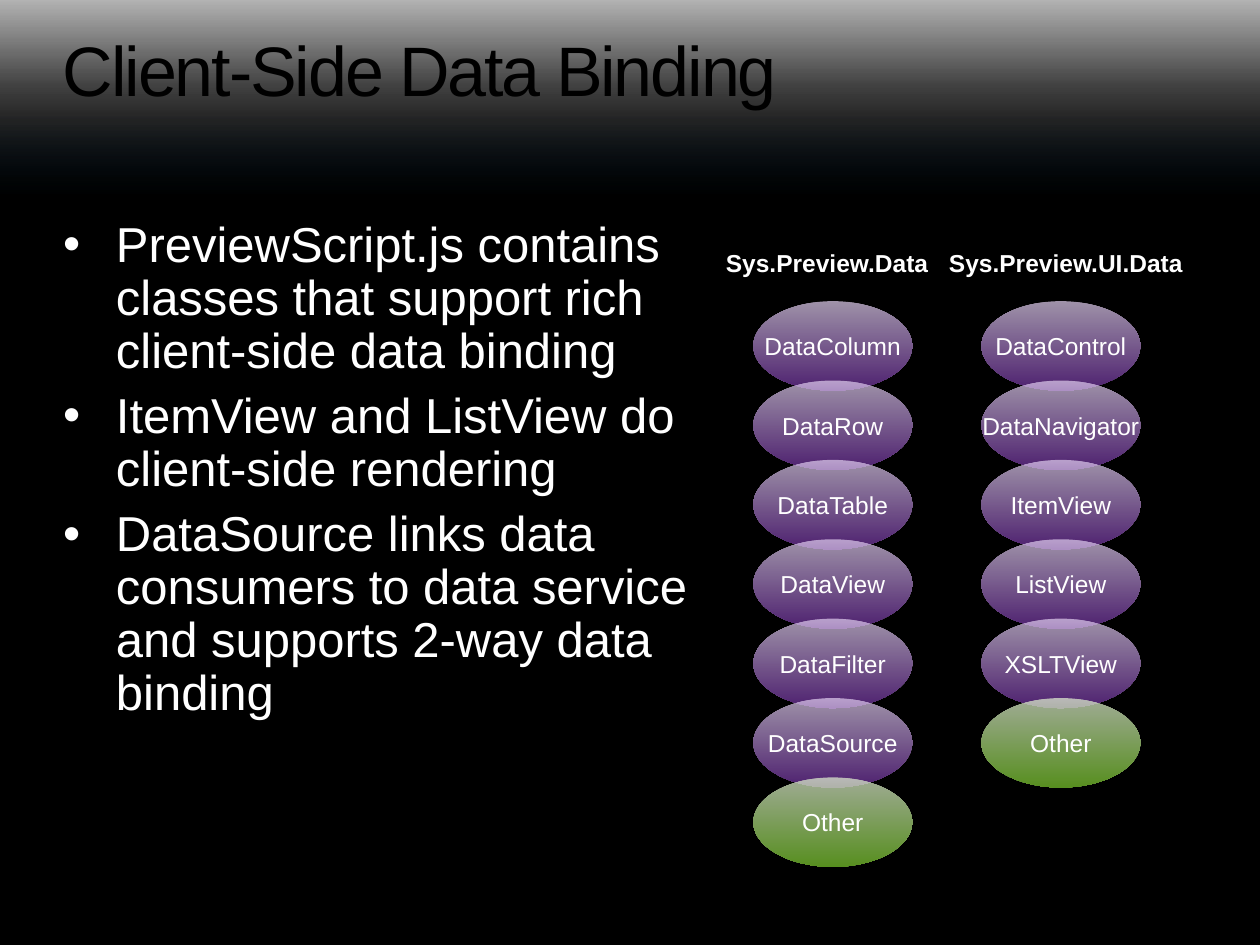
from lxml import etree
from pptx import Presentation
from pptx.dml.color import RGBColor
from pptx.enum.shapes import MSO_SHAPE
from pptx.enum.text import MSO_ANCHOR, PP_ALIGN
from pptx.oxml.ns import qn
from pptx.util import Pt

RECTANGLE = MSO_SHAPE.RECTANGLE
OVAL = MSO_SHAPE.OVAL
MIDDLE = MSO_ANCHOR.MIDDLE
LEFT = PP_ALIGN.LEFT
CENTER = PP_ALIGN.CENTER

PURPLE = [(0, "E3D1F1", 70), (100, "7030A0", 70)]
GREEN = [(0, "E5F5D5", 70), (100, "7DCC2E", 70)]
BAND = [(0, "0070C0", 0), (41, "FFFFFF", 15), (56, "FFFFFF", 25), (100, "FFFFFF", 70)]

BULLETS = [
    "PreviewScript.js contains classes that support rich client-side data binding",
    "ItemView and ListView do client-side rendering",
    "DataSource links data consumers to data service and supports 2-way data binding",
]
COLUMNS = [
    ("Sys.Preview.Data", 401.76, 141.84, 430.56,
     ["DataColumn", "DataRow", "DataTable", "DataView", "DataFilter", "DataSource", "Other"]),
    ("Sys.Preview.UI.Data", 515.52, 187.2, 560.88,
     ["DataControl", "DataNavigator", "ItemView", "ListView", "XSLTView", "Other"]),
]
CLASS_TOP, CLASS_STEP = 172.08, 45.36
CLASS_WIDTH, CLASS_HEIGHT = 90.72, 51.12


def color(value):
    return RGBColor.from_string(value)


class SlideWriter:
    font = "Arial"
    text_color = "FFFFFF"

    def __init__(self, page):
        self.page = page

    def background(self, value):
        fill = self.page.background.fill
        fill.solid()
        fill.fore_color.rgb = color(value)

    def span(self, para, text, size, value=None, bold=False):
        span = para.add_run()
        span.text = text
        span.font.name = self.font
        span.font.size = Pt(size)
        span.font.bold = bold
        span.font.color.rgb = color(value or self.text_color)
        return span

    def gradient(self, shape, stops, angle):
        shape.fill.gradient()
        gradient = shape._element.spPr.find(qn("a:gradFill"))
        gradient.find(qn("a:lin")).set("ang", str(angle * 60000))
        stop_list = gradient.find(qn("a:gsLst"))
        for old_stop in list(stop_list):
            stop_list.remove(old_stop)
        for position, value, opacity in stops:
            stop = etree.SubElement(stop_list, qn("a:gs"), pos=str(position * 1000))
            tint = etree.SubElement(stop, qn("a:srgbClr"), val=value)
            etree.SubElement(tint, qn("a:alpha"), val=str(opacity * 1000))

    def shape(self, kind, left, top, width, height, stops, angle):
        shape = self.page.shapes.add_shape(kind, Pt(left), Pt(top), Pt(width), Pt(height))
        shape.shadow.inherit = False
        shape.line.fill.background()
        self.gradient(shape, stops, angle)
        return shape

    def box(self, left, top, width, height):
        box = self.page.shapes.add_textbox(Pt(left), Pt(top), Pt(width), Pt(height))
        box.text_frame.word_wrap = True
        return box.text_frame

    def title(self, text, left, top, width, height):
        para = self.box(left, top, width, height).paragraphs[0]
        para.line_spacing = 0.9
        span = self.span(para, text, 40, "000000")
        span.font._element.set("spc", "-120")

    def bullets(self, items, left, top, width, height):
        frame = self.box(left, top, width, height)
        frame.margin_left = frame.margin_right = frame.margin_top = frame.margin_bottom = 0
        for index, item in enumerate(items):
            para = frame.add_paragraph() if index else frame.paragraphs[0]
            para.alignment = LEFT
            para.line_spacing = 0.9
            para.space_before = Pt(7)
            properties = para._p.get_or_add_pPr()
            properties.set("marL", str(Pt(30.24)))
            properties.set("indent", str(-Pt(30.24)))
            etree.SubElement(properties, qn("a:buFont"), typeface=self.font)
            etree.SubElement(properties, qn("a:buChar"), char="•")
            self.span(para, item, 28)

    def heading(self, text, left, top, width, height):
        para = self.box(left, top, width, height).paragraphs[0]
        para.alignment = CENTER
        self.span(para, text, 14, bold=True)

    def ellipse(self, text, left, top, stops):
        ellipse = self.shape(OVAL, left, top, CLASS_WIDTH, CLASS_HEIGHT, stops, 90)
        frame = ellipse.text_frame
        frame.word_wrap = False
        frame.vertical_anchor = MIDDLE
        frame.margin_left = frame.margin_right = Pt(8.64)
        frame.margin_top = frame.margin_bottom = Pt(4.32)
        para = frame.paragraphs[0]
        para.alignment = CENTER
        self.span(para, text, 14)


def main():
    deck = Presentation()
    deck.slide_width, deck.slide_height = Pt(720), Pt(540)
    writer = SlideWriter(deck.slides.add_slide(deck.slide_layouts[6]))
    writer.background("000000")
    writer.shape(RECTANGLE, 0, 0, 720, 110.88, BAND, 270)
    writer.title("Client-Side Data Binding", 28.8, 17.28, 660.24, 48.24)
    writer.bullets(BULLETS, 36, 126, 365.76, 396)
    for heading, heading_left, heading_width, class_left, names in COLUMNS:
        writer.heading(heading, heading_left, 138.24, heading_width, 23.76)
        for row, name in enumerate(names):
            stops = GREEN if name == "Other" else PURPLE
            writer.ellipse(name, class_left, CLASS_TOP + row * CLASS_STEP, stops)
    deck.save("out.pptx")


if __name__ == "__main__":
    main()
